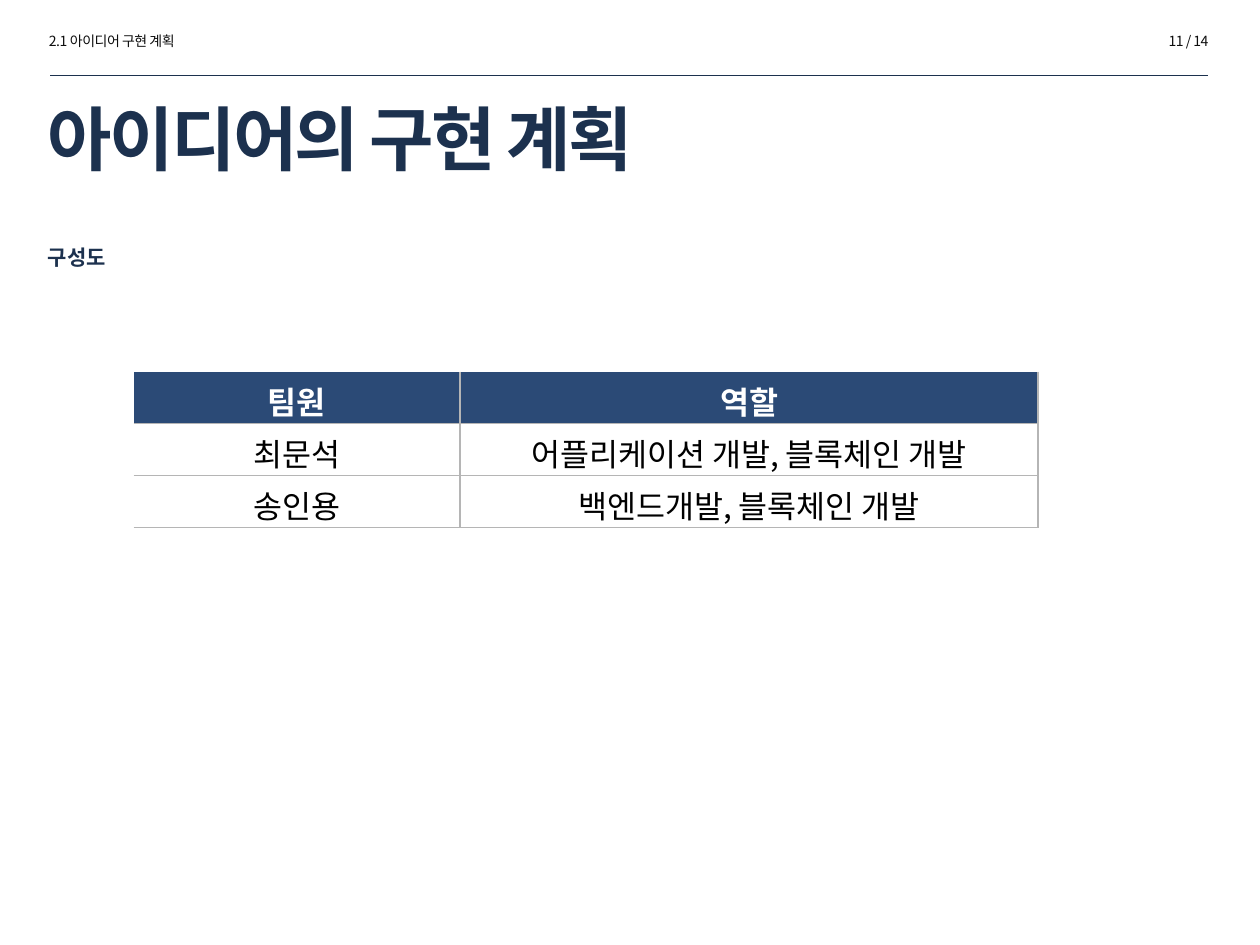
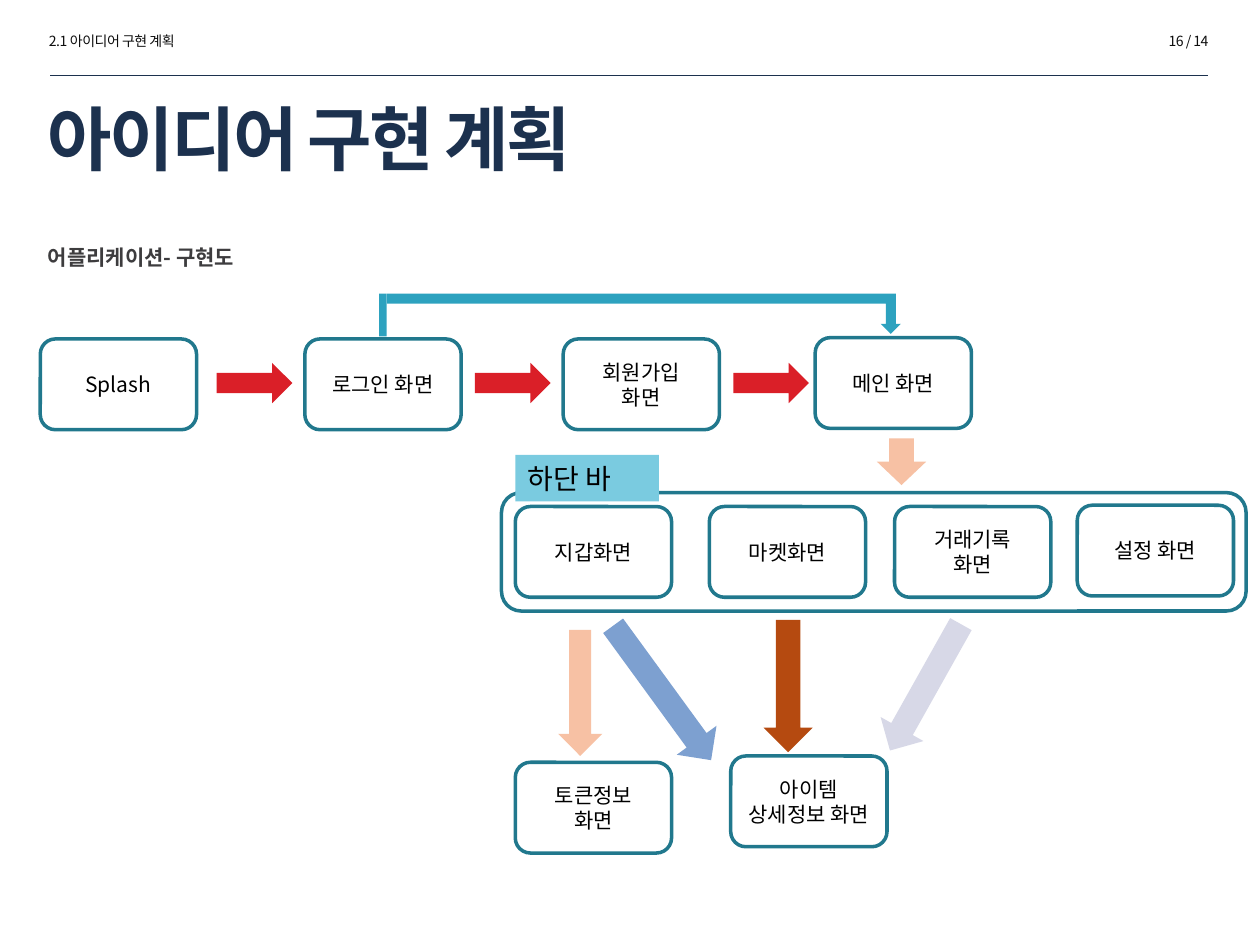
from dataclasses import dataclass

from lxml import etree
from pptx import Presentation
from pptx.dml.color import RGBColor
from pptx.enum.shapes import MSO_CONNECTOR, MSO_SHAPE
from pptx.enum.text import MSO_ANCHOR, MSO_AUTO_SIZE, PP_ALIGN
from pptx.oxml.ns import qn
from pptx.util import Inches, Pt

LEFT, CENTER, RIGHT = PP_ALIGN.LEFT, PP_ALIGN.CENTER, PP_ALIGN.RIGHT
TOP, MIDDLE = MSO_ANCHOR.TOP, MSO_ANCHOR.MIDDLE
NO_AUTOFIT = MSO_AUTO_SIZE.NONE
STRAIGHT = MSO_CONNECTOR.STRAIGHT
RECT, ROUND_RECT = MSO_SHAPE.RECTANGLE, MSO_SHAPE.ROUNDED_RECTANGLE
RIGHT_ARROW, DOWN_ARROW = MSO_SHAPE.RIGHT_ARROW, MSO_SHAPE.DOWN_ARROW
BENT_ARROW = MSO_SHAPE.BENT_UP_ARROW


@dataclass(frozen=True)
class Theme:
    """Font, colours and type sizes shared by the slides."""
    font: str = "Noto Sans CJK KR"
    navy: str = "1C314E"
    charcoal: str = "3D3C3E"
    ink: str = "0D0D0D"
    black: str = "000000"
    white: str = "FFFFFF"
    table_head: str = "2B4A76"
    table_rule: str = "B5B5B5"
    teal: str = "21788D"
    bypass: str = "2DA2BF"
    tab: str = "7ACBE0"
    red: str = "DA1F28"
    peach: str = "F7C1A4"
    blue: str = "7DA0D0"
    rust: str = "B54A10"
    lavender: str = "D7D8E7"
    title_size: int = 40
    table_size: int = 18
    tab_size: int = 16
    text_size: int = 12
    header_size: int = 8


THEME = Theme()
SECTION = "2.1 아이디어 구현 계획"
NODE_SIZE = (1.24, 0.72)


def rgb(color):
    """Turn a hex string into a colour."""
    return RGBColor.from_string(color)


def apply_format(target, values):
    """Set each named attribute of the target."""
    for name, value in values.items():
        setattr(target, name, value)


def inches(*lengths):
    """Convert several lengths to inches."""
    return [Inches(length) for length in lengths]


def write(frame, text, size, color, bold=False, align=LEFT, anchor=TOP, spacing=0):
    """Fill a text frame with evenly styled paragraphs."""
    apply_format(frame, {"word_wrap": True, "auto_size": NO_AUTOFIT, "vertical_anchor": anchor})
    frame.text = text
    for paragraph in frame.paragraphs:
        apply_format(paragraph, {"alignment": align, "space_before": Pt(0)})
        for run in paragraph.runs:
            style_run(run, size, color, bold, spacing)


def style_run(run, size, color, bold, spacing=0):
    """Style one run, for Latin and Korean letters alike."""
    apply_format(run.font, {"size": Pt(size), "bold": bold, "name": THEME.font})
    run.font.color.rgb = rgb(color)
    properties = run.font._element
    etree.SubElement(properties, qn("a:ea"), typeface=THEME.font)
    if spacing:
        properties.set("spc", str(round(spacing * 100)))


def place(shape, left, top, width, height):
    """Move and size a placeholder."""
    names = ("left", "top", "width", "height")
    apply_format(shape, dict(zip(names, inches(left, top, width, height))))


def add_header_text(slide, left, text, align):
    """Add a small running text above the rule."""
    header = slide.shapes.add_textbox(*inches(left, 0.21, 1.73, 0.24))
    write(header.text_frame, text, THEME.header_size, THEME.ink, align=align, spacing=-0.3)


def add_base_slide(deck, title, page, subtitle, subtitle_color):
    """Add a slide with header, rule, title and subtitle."""
    slide = deck.slides.add_slide(deck.slide_layouts[1])
    add_header_text(slide, 0.29, SECTION, LEFT)
    add_header_text(slide, 7.96, page, RIGHT)

    rule = slide.shapes.add_connector(STRAIGHT, *inches(0.4, 0.6, 9.59, 0.6))
    rule.line.color.rgb = rgb(THEME.navy)
    rule.line.width = Pt(0.25)
    etree.SubElement(rule._element.spPr, qn("a:effectLst"))

    heading, subheading = slide.placeholders
    place(heading, 0.28, 0.77, 7.65, 0.64)
    write(heading.text_frame, title, THEME.title_size, THEME.navy, True,
          anchor=MIDDLE, spacing=-1.5)
    place(subheading, 0.28, 1.89, 9.26, 0.31)
    write(subheading.text_frame, subtitle, THEME.text_size, subtitle_color, True)
    indent = subheading.text_frame.paragraphs[0]._p.get_or_add_pPr()
    indent.set("marL", "0")
    indent.set("indent", "0")
    etree.SubElement(indent, qn("a:buNone"))
    return slide


def set_borders(cell, visible):
    """Draw the listed sides of a cell and clear the others."""
    properties = cell._tc.get_or_add_tcPr()
    for position, side in enumerate("LRTB"):
        border = etree.Element(qn(f"a:ln{side}"), w=str(Pt(1)))
        if side in visible:
            fill = etree.SubElement(border, qn("a:solidFill"))
            etree.SubElement(fill, qn("a:srgbClr"), val=THEME.table_rule)
        else:
            etree.SubElement(border, qn("a:noFill"))
        properties.insert(position, border)


def add_role_table(slide, rows, left, top, widths, row_height):
    """Add the table of members and roles."""
    frame = slide.shapes.add_table(
        len(rows), len(widths), *inches(left, top, sum(widths), row_height * len(rows)))
    table = frame.table
    table.horz_banding = False
    for column, width in zip(table.columns, widths):
        column.width = Inches(width)
    for r, row in enumerate(rows):
        table.rows[r].height = Inches(row_height)
        is_head = r == 0
        for c, text in enumerate(row):
            cell = table.cell(r, c)
            apply_format(cell, {"margin_top": Inches(0.05), "margin_bottom": 0,
                                "vertical_anchor": TOP})
            cell.fill.solid()
            cell.fill.fore_color.rgb = rgb(THEME.table_head if is_head else THEME.white)
            set_borders(cell, "RB" + ("" if is_head else "T") + ("L" if c else ""))
            cell.text = text
            paragraph = cell.text_frame.paragraphs[0]
            paragraph.alignment = CENTER
            style_run(paragraph.runs[0], THEME.table_size,
                      THEME.white if is_head else THEME.black, is_head)


def add_filled(shapes, kind, box, color, rotation=0):
    """Add a borderless filled shape."""
    shape = shapes.add_shape(kind, *inches(*box))
    shape.shadow.inherit = False
    shape.fill.solid()
    shape.fill.fore_color.rgb = rgb(color)
    shape.line.fill.background()
    shape.rotation = rotation
    return shape


def add_outline(slide, box, text=""):
    """Add a teal rounded outline with optional text."""
    outline = slide.shapes.add_shape(ROUND_RECT, *inches(*box))
    outline.shadow.inherit = False
    outline.fill.background()
    outline.line.color.rgb = rgb(THEME.teal)
    outline.line.width = Pt(2)
    if text:
        write(outline.text_frame, text, THEME.text_size, THEME.black,
              align=CENTER, anchor=MIDDLE)


def add_bypass(slide):
    """Add the grouped path from login straight to the main screen."""
    bypass = slide.shapes.add_group_shape()
    add_filled(bypass.shapes, RECT, (3.01, 2.33, 0.06, 0.34), THEME.bypass)
    arrow = add_filled(bypass.shapes, BENT_ARROW, (3.07, 2.33, 4.08, 0.32), THEME.bypass)
    arrow._element.spPr.xfrm.set("flipV", "1")


def build_team_slide(deck):
    """Build the slide of team roles."""
    slide = add_base_slide(deck, "아이디어의 구현 계획", "11 / 14", "구성도", THEME.navy)
    roles = [
        ("팀원", "역할"),
        ("최문석", "어플리케이션 개발, 블록체인 개발"),
        ("송인용", "백엔드개발, 블록체인 개발"),
    ]
    add_role_table(slide, roles, 1.06, 2.95, (2.59, 4.59), 0.41)


def build_screen_flow_slide(deck):
    """Build the slide of application screens."""
    slide = add_base_slide(deck, "아이디어 구현 계획", "16 / 14",
                           "어플리케이션- 구현도", THEME.charcoal)
    add_outline(slide, (3.98, 3.91, 5.91, 0.94))
    screens = [
        (0.32, 2.69, "Splash"),
        (2.42, 2.69, "로그인 화면"),
        (4.47, 2.69, "회원가입\v화면"),
        (6.47, 2.68, "메인 화면"),
        (4.09, 4.02, "지갑화면"),
        (5.63, 4.02, "마켓화면"),
        (7.1, 4.02, "거래기록\n화면"),
        (8.55, 4.01, "설정 화면"),
        (4.09, 6.05, "토큰정보\n화면"),
        (5.8, 6, "아이템 상세정보 화면"),
    ]
    for left, top, name in screens:
        add_outline(slide, (left, top, *NODE_SIZE), name)
    for step in range(3):
        add_filled(slide.shapes, RIGHT_ARROW, (1.72 + 2.05 * step, 2.88, 0.6, 0.32), THEME.red)
    add_bypass(slide)

    bottom_bar = add_filled(slide.shapes, RECT, (4.09, 3.61, 1.14, 0.37), THEME.tab)
    write(bottom_bar.text_frame, "하단 바", THEME.tab_size, THEME.black, anchor=MIDDLE)

    down_arrows = [
        ((6.96, 3.48, 0.39, 0.37), THEME.peach, 0),
        ((5.06, 4.84, 0.39, 1.32), THEME.blue, 323.9),
        ((6.06, 4.92, 0.39, 1.05), THEME.rust, 0),
        ((7.15, 4.88, 0.39, 1.15), THEME.lavender, 29.3),
        ((4.43, 5, 0.35, 1), THEME.peach, 0),
    ]
    for box, color, rotation in down_arrows:
        add_filled(slide.shapes, DOWN_ARROW, box, color, rotation)


def main():
    """Build and save the deck."""
    deck = Presentation()
    apply_format(deck, {"slide_width": Inches(10), "slide_height": Inches(7.5)})
    build_team_slide(deck)
    build_screen_flow_slide(deck)
    deck.save("out.pptx")


if __name__ == "__main__":
    main()
